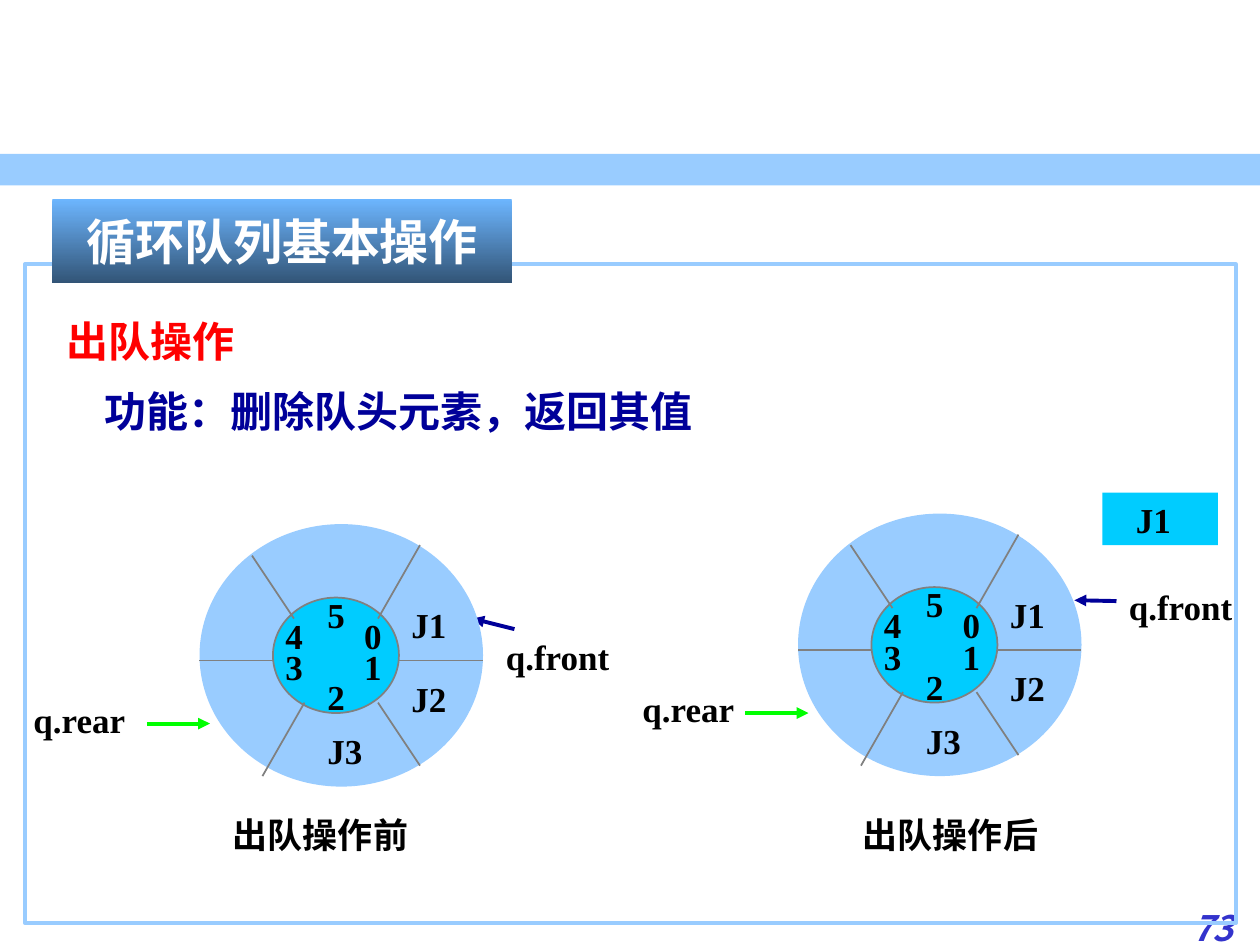
from pptx import Presentation
from pptx.dml.color import RGBColor
from pptx.enum.shapes import MSO_CONNECTOR, MSO_SHAPE
from pptx.enum.text import PP_ALIGN
from pptx.oxml.ns import qn
from pptx.util import Pt
from lxml import etree

RECT, OVAL = MSO_SHAPE.RECTANGLE, MSO_SHAPE.OVAL
STRAIGHT = MSO_CONNECTOR.STRAIGHT
LEFT, CENTER, RIGHT = PP_ALIGN.LEFT, PP_ALIGN.CENTER, PP_ALIGN.RIGHT

SKY = RGBColor(0x99, 0xCC, 0xFF)
CYAN = RGBColor(0x00, 0xCC, 0xFF)
GRAY = RGBColor(0x80, 0x80, 0x80)
GREEN = RGBColor(0x00, 0xFF, 0x00)
NAVY = RGBColor(0x00, 0x00, 0x99)
INDIGO = RGBColor(0x33, 0x33, 0xCC)
RED = RGBColor(0xFF, 0x00, 0x00)
BLACK = RGBColor(0x00, 0x00, 0x00)
WHITE = RGBColor(0xFF, 0xFF, 0xFF)
TITLE_TOP = RGBColor(0x6D, 0xB6, 0xFF)
TITLE_BOTTOM = RGBColor(0x32, 0x54, 0x76)

SERIF = "Times New Roman"
LABEL_HEIGHT = 31.5

# Ring parts, relative to the top left corner of the ring
SPOKES = [
    ((42, 78), (0, 78)), ((114, 78), (162, 78)),
    ((30, 18), (54, 54)), ((126, 12), (102, 54)),
    ((102, 102), (126, 138)), ((60, 102), (36, 144)),
]
SLOT_NUMBERS = [("5", 66, 36), ("4", 42, 48), ("0", 87, 48),
                ("3", 42, 66), ("1", 87, 66), ("2", 66, 83)]
ELEMENTS = [("J1", 114, 42), ("J2", 114, 84), ("J3", 66, 114)]


def add_block(slide, kind, left, top, width, height, fill=None, line=None, weight=1):
    block = slide.shapes.add_shape(kind, Pt(left), Pt(top), Pt(width), Pt(height))
    block.shadow.inherit = False
    if fill is None:
        block.fill.background()
    else:
        block.fill.solid()
        block.fill.fore_color.rgb = fill
    if line is None:
        block.line.fill.background()
    else:
        block.line.color.rgb = line
        block.line.width = Pt(weight)
    return block


def style(paragraph, size, color, font=SERIF, align=LEFT):
    paragraph.alignment = align
    paragraph.font.size = Pt(size)
    paragraph.font.bold = True
    paragraph.font.name = font
    paragraph.font.color.rgb = color


def add_frame(slide, left, top, width, height):
    box = slide.shapes.add_textbox(Pt(left), Pt(top), Pt(width), Pt(height))
    box.text_frame.word_wrap = True
    return box.text_frame


def add_label(slide, text, left, top, width):
    paragraph = add_frame(slide, left, top, width, LABEL_HEIGHT).paragraphs[0]
    paragraph.text = text
    style(paragraph, 20, BLACK)


def add_line(slide, start, end, color, weight=1, arrow=False):
    line = slide.shapes.add_connector(STRAIGHT, *(Pt(v) for v in (*start, *end)))
    line.line.color.rgb = color
    line.line.width = Pt(weight)
    if arrow:
        etree.SubElement(line.line._get_or_add_ln(), qn("a:tailEnd"), type="triangle")
    etree.SubElement(line._element.spPr, qn("a:effectLst"))


def add_ring(slide, left, top):
    def place(point):
        return left + point[0], top + point[1]

    add_block(slide, OVAL, left, top, 162, 150, SKY)
    add_block(slide, OVAL, left + 42, top + 42, 72, 66, CYAN, GRAY)
    for start, end in SPOKES:
        add_line(slide, place(start), place(end), GRAY)
    for text, x, y in SLOT_NUMBERS:
        add_label(slide, text, left + x, top + y, 36)
    for text, x, y in ELEMENTS:
        add_label(slide, text, left + x, top + y, 42)


def add_queue(slide, left, top, front_label, front_arrow, rear_label, caption, caption_left):
    # Pointers lie behind the ring
    add_label(slide, "q.front", *front_label, 96 if left < 360 else 76.5)
    add_line(slide, *front_arrow, NAVY, 2.25, arrow=True)
    add_line(slide, (left - 30, top + 114), (left + 6, top + 114), GREEN, 2.25, arrow=True)
    add_label(slide, "q.rear", *rear_label, 84)
    add_ring(slide, left, top)
    add_label(slide, caption, caption_left, 461.5, 153)


def add_title(slide, text):
    title = add_block(slide, RECT, 30, 113.5, 262.5, 48.5, SKY)
    title.fill.gradient()
    title.fill.gradient_angle = 270
    for stop, color, position in zip(title.fill.gradient_stops,
                                     (TITLE_TOP, TITLE_BOTTOM), (0, 1)):
        stop.color.rgb = color
        stop.position = position
    paragraph = title.text_frame.paragraphs[0]
    paragraph.text = text
    style(paragraph, 28, WHITE, "Noto Sans CJK KR", CENTER)


def add_description(slide):
    frame = add_frame(slide, 31, 165, 425.5, 88)
    heading, purpose = frame.paragraphs[0], frame.add_paragraph()
    heading.text = "出队操作"
    purpose.text = "功能：删除队头元素，返回其值"
    purpose._p.get_or_add_pPr().set("marL", str(Pt(21.5)))
    for paragraph, color in ((heading, RED), (purpose, NAVY)):
        paragraph.line_spacing = 1.4
        style(paragraph, 24, color)


def add_page_number(slide, number):
    paragraph = add_frame(slide, 643.5, 502.5, 68.5, 37.5).paragraphs[0]
    paragraph.text = number
    paragraph.line_spacing = 1.5
    style(paragraph, 20, INDIGO, "Noto Sans CJK SC", RIGHT)
    paragraph.font.italic = True


def main():
    deck = Presentation()
    deck.slide_width, deck.slide_height = Pt(720), Pt(540)
    slide = deck.slides.add_slide(deck.slide_layouts[6])

    # Header band and page number
    add_block(slide, RECT, 0, 88, 720, 18, SKY)
    add_page_number(slide, "73")

    # Queue before and after the removal
    add_queue(slide, 114, 299.5, (282, 359.5), ((294, 359.5), (270, 353.5)),
              (12, 395.5), "出队操作前", 126)
    add_queue(slide, 456, 293.5, (638, 331), ((638, 343.5), (614, 343)),
              (360, 389.5), "出队操作后", 486)

    # Removed element
    add_block(slide, RECT, 630, 281.5, 66, 30, CYAN)
    add_label(slide, "J1", 642, 281.5, 54)

    # Content frame, title and description
    add_block(slide, RECT, 14.25, 151, 692, 376.5, line=SKY, weight=2.25)
    add_title(slide, "循环队列基本操作")
    add_description(slide)

    deck.save("out.pptx")


if __name__ == "__main__":
    main()
